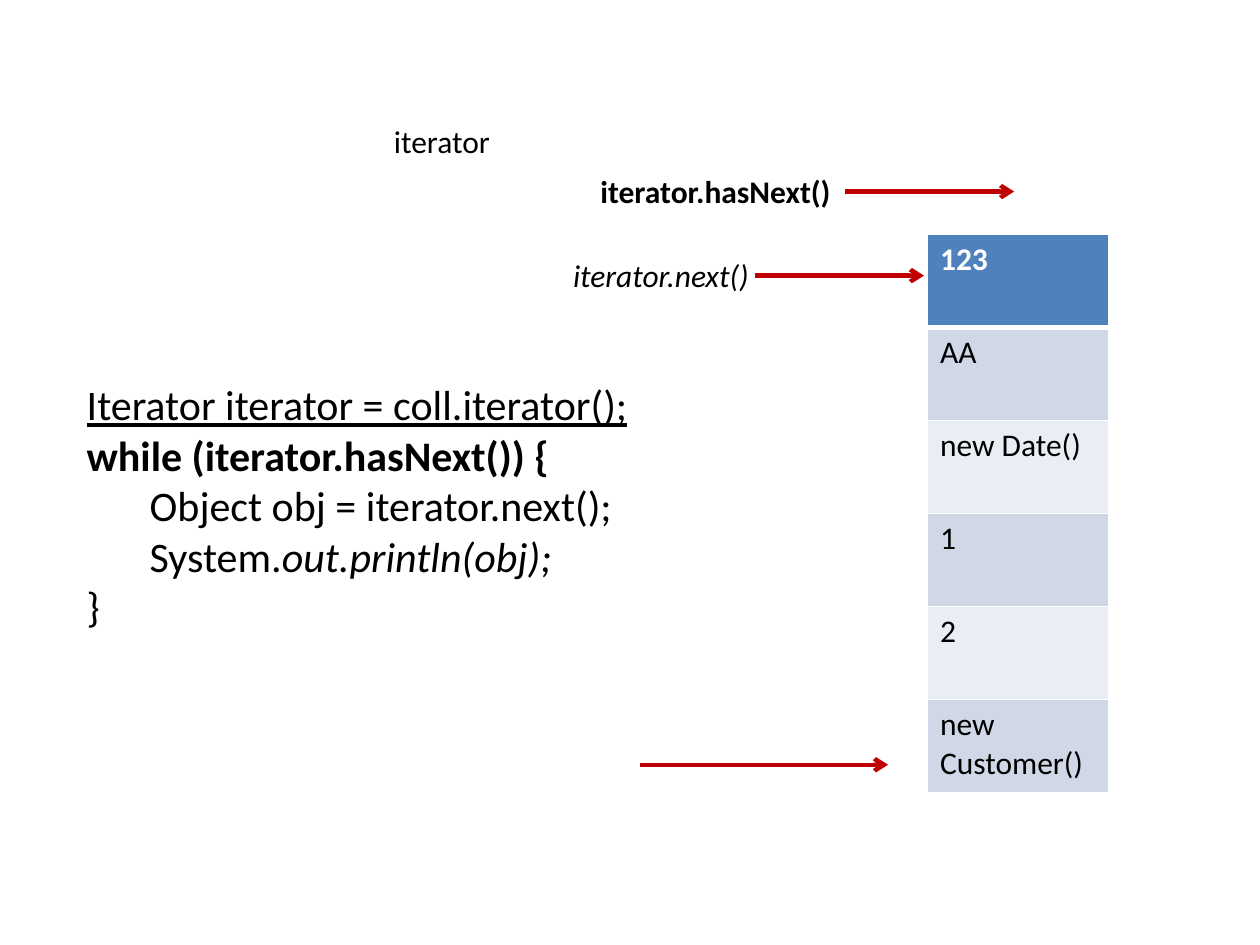
from typing import NamedTuple

from lxml.etree import SubElement
from pptx import Presentation
from pptx.dml.color import RGBColor
from pptx.enum.shapes import MSO_CONNECTOR
from pptx.enum.text import MSO_AUTO_SIZE
from pptx.oxml.ns import qn
from pptx.util import Pt


class Run(NamedTuple):
    text: str
    bold: bool = False
    ital: bool = False
    under: bool = False


class Label(NamedTuple):
    left: float
    top: float
    width: float
    height: float
    size: float
    lines: list[list[Run]]
    wrap: bool = True


class Arrow(NamedTuple):
    start: float
    end: float
    y: float


BLACK, WHITE, RED = "000000", "FFFFFF", "C00000"
HEAD, BANDS = "4F81BD", ("D0D8E8", "E9EDF4")
ITEMS = ["123", "AA", "new Date()", "1", "2", "new Customer()"]
ROW = 53.16

CODE = Label(42.5, 213, 357, 152.6, 24, [
    [Run("Iterator iterator = coll.iterator();", under=True)],
    [Run("while (iterator.hasNext()) {", bold=True)],
    [Run("\tObject obj = iterator.next();")],
    [Run("\tSystem."), Run("out.println(obj);", ital=True)],
    [Run("}")],
])
TITLE = Label(218, 66.4, 142, 29, 18, [[Run("iterator")]])
HAS_NEXT = Label(336, 95, 147, 29, 18,
                 [[Run("iterator.hasNext()", bold=True)]], False)
NEXT = Label(320.4, 142.6, 116, 29, 18,
             [[Run("iterator.next()", ital=True)]], False)


def color(code: str) -> RGBColor:
    return RGBColor.from_string(code)


def add_run(para, run: Run, size: float, code: str) -> None:
    part = para.add_run()
    part.text = run.text
    font = part.font
    font.name, font.size = "Calibri", Pt(size)
    font.bold, font.italic, font.underline = run.bold, run.ital, run.under
    font.color.rgb = color(code)


def add_label(slide, label: Label):
    box = slide.shapes.add_textbox(Pt(label.left), Pt(label.top),
                                   Pt(label.width), Pt(label.height))
    frame = box.text_frame
    frame.word_wrap = label.wrap
    frame.auto_size = MSO_AUTO_SIZE.SHAPE_TO_FIT_TEXT
    for i, line in enumerate(label.lines):
        para = frame.add_paragraph() if i else frame.paragraphs[0]
        for run in line:
            add_run(para, run, label.size, BLACK)
    return box


def add_arrow(slide, arrow: Arrow):
    link = slide.shapes.add_connector(MSO_CONNECTOR.STRAIGHT, Pt(arrow.start),
                                      Pt(arrow.y), Pt(arrow.end), Pt(arrow.y))
    link.line.color.rgb = color(RED)
    link.line.width = Pt(2.5)
    SubElement(link.line._get_or_add_ln(), qn("a:tailEnd"), type="arrow")
    SubElement(link._element.spPr, qn("a:effectLst"))
    return link


def add_edge(cell, side: str, width: float) -> None:
    props = cell._tc.get_or_add_tcPr()
    edge = SubElement(props, qn(f"a:ln{side}"), w=str(Pt(width)))
    fill = SubElement(edge, qn("a:solidFill"))
    SubElement(fill, qn("a:srgbClr"), val=WHITE)


def add_items(slide, items: list[str]) -> None:
    table = slide.shapes.add_table(len(items), 1, Pt(530), Pt(134), Pt(103.7),
                                   Pt(ROW * len(items))).table
    table.horz_banding = False
    for i, item in enumerate(items):
        table.rows[i].height = Pt(ROW)
        cell = table.cell(i, 0)
        # The rule under the head row is thicker than the rest
        for side in "LRTB":
            thick = (i, side) in ((0, "B"), (1, "T"))
            add_edge(cell, side, 3 if thick else 1)
        cell.fill.solid()
        cell.fill.fore_color.rgb = color(BANDS[(i - 1) % 2] if i else HEAD)
        add_run(cell.text_frame.paragraphs[0], Run(item, bold=i == 0), 18,
                BLACK if i else WHITE)


def main() -> None:
    deck = Presentation()
    deck.slide_width, deck.slide_height = Pt(720), Pt(540)
    slide = deck.slides.add_slide(deck.slide_layouts[6])

    # Collection and the code that walks it
    add_items(slide, ITEMS)
    add_label(slide, CODE)

    # Iterator calls and their pointers
    add_arrow(slide, Arrow(431.5, 528, 157.5))
    add_label(slide, TITLE)
    test = add_label(slide, HAS_NEXT)
    add_arrow(slide, Arrow(366, 507.5, 437))
    add_label(slide, NEXT)
    add_arrow(slide, Arrow(483, 579.5, 109.5)).begin_connect(test, 3)

    deck.save("out.pptx")


if __name__ == "__main__":
    main()
